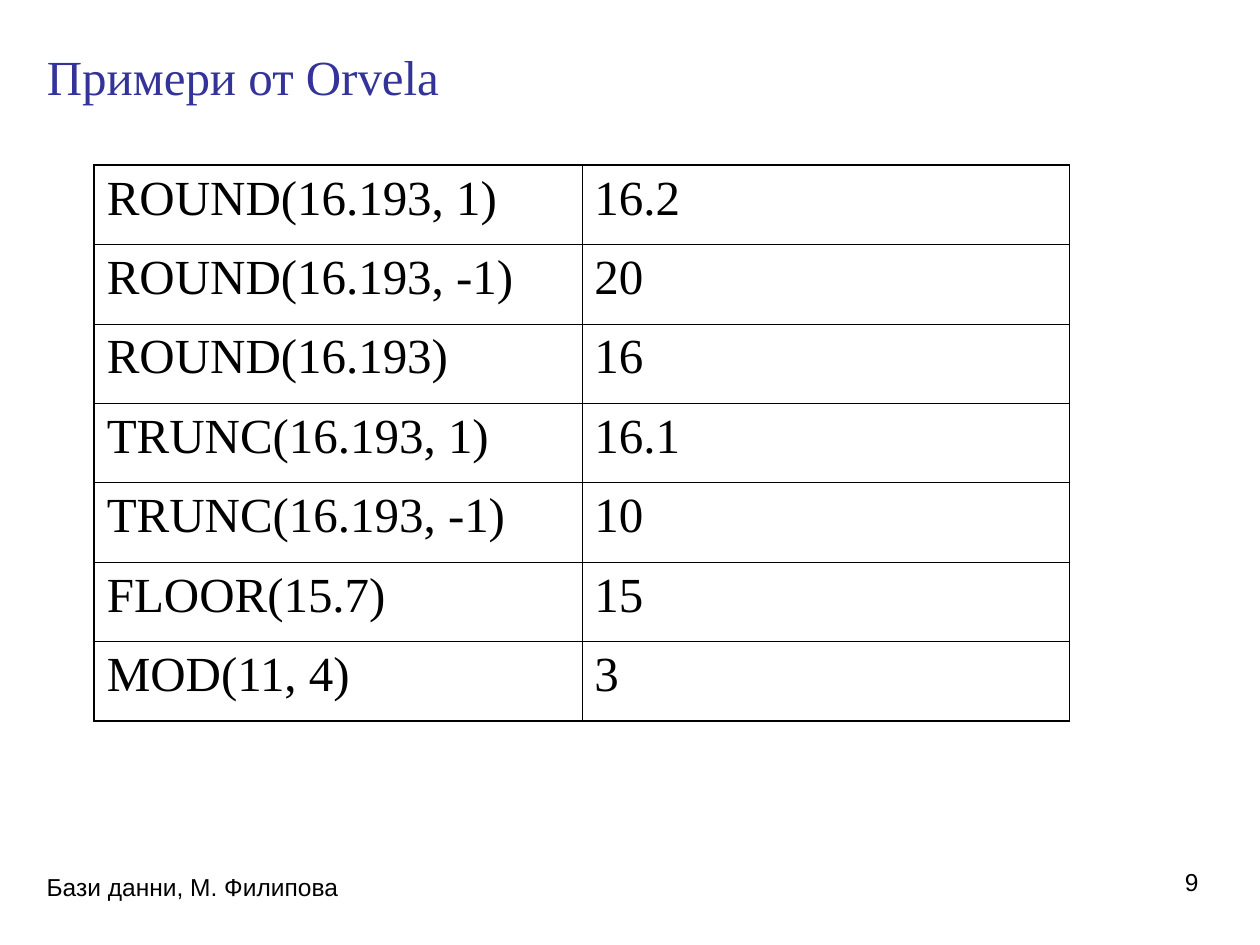
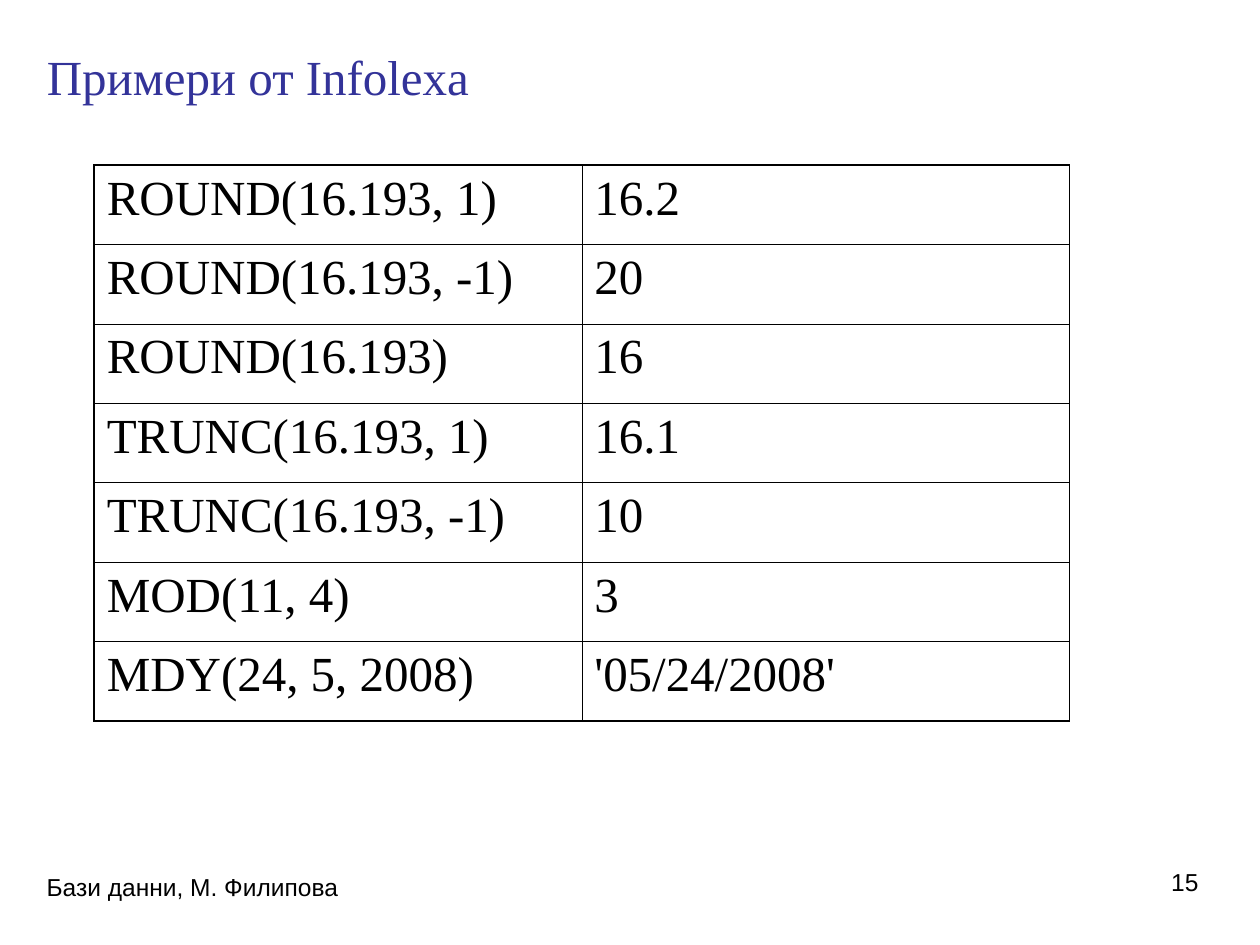
import pptx
import pptx.dml.color
import pptx.enum.text
import pptx.oxml.ns
import pptx.util
import lxml.etree

Cm = pptx.util.Cm
Pt = pptx.util.Pt
ENUM = pptx.enum.text

COLORS = {"title": "333399", "text": "000000", "line": "000000"}
SERIF, SANS = "Times New Roman", "Arial"
FOOTER = "Бази данни, М. Филипова"

COMMON = [
    ("ROUND(16.193, 1)", "16.2"),
    ("ROUND(16.193, -1)", "20"),
    ("ROUND(16.193)", "16"),
    ("TRUNC(16.193, 1)", "16.1"),
    ("TRUNC(16.193, -1)", "10"),
]
MOD = ("MOD(11, 4)", "3")
SLIDES = [
    {"title": "Примери от Orvela", "page": 9,
     "rows": COMMON + [("FLOOR(15.7)", "15"), MOD]},
    {"title": "Примери от Infolexa", "page": 15,
     "rows": COMMON + [MOD, ("MDY(24, 5, 2008)", "'05/24/2008'")]},
]

LEFT = 0.69
TITLE = (LEFT, 0.76, 24, 1.55)
NOTE = (LEFT, 17.45, 8.05, 1.32)
PAGE = (18.49, 17.35, 5.92, 1.32)
GRID_X, GRID_Y, COL_W, ROW_H = 1.9, 3.33, 9.83, 1.6
OUTER, INNER = 1.08, 0.45


def style(par, face, size, color, align=ENUM.PP_ALIGN.LEFT):
    par.alignment = align
    par.font.name = face
    par.font.size = Pt(size)
    par.font.color.rgb = pptx.dml.color.RGBColor.from_string(COLORS[color])


def add_title(slide, text):
    shape = slide.shapes.title
    shape.left, shape.top, shape.width, shape.height = map(Cm, TITLE)
    frame = shape.text_frame
    frame.text = text
    frame.auto_size = ENUM.MSO_AUTO_SIZE.NONE
    frame.vertical_anchor = ENUM.MSO_ANCHOR.MIDDLE
    style(frame.paragraphs[0], SERIF, 28, "title")


def add_label(slide, box, text, align):
    frame = slide.shapes.add_textbox(*map(Cm, box)).text_frame
    frame.word_wrap = True
    frame.text = text
    style(frame.paragraphs[0], SANS, 14, "text", align)


def add_edge(cell, side, width):
    qn = pptx.oxml.ns.qn
    props = cell._tc.get_or_add_tcPr()
    line = lxml.etree.SubElement(props, qn(f"a:ln{side}"), w=str(int(Pt(width))))
    fill = lxml.etree.SubElement(line, qn("a:solidFill"))
    lxml.etree.SubElement(fill, qn("a:srgbClr"), val=COLORS["line"])


def add_grid(slide, rows):
    count, wide = len(rows), len(rows[0])
    box = (GRID_X, GRID_Y, COL_W * wide, ROW_H * count)
    table = slide.shapes.add_table(count, wide, *map(Cm, box)).table
    table.first_row = table.horz_banding = False
    for row in table.rows:
        row.height = Cm(ROW_H)
    for col in table.columns:
        col.width = Cm(COL_W)
    for r, row in enumerate(rows):
        for c, text in enumerate(row):
            cell = table.cell(r, c)
            cell.text = text
            par = cell.text_frame.paragraphs[0]
            par.space_before = Pt(7)
            style(par, SERIF, 28, "text")
            edges = {"L": c == 0, "R": c == wide - 1,
                     "T": r == 0, "B": r == count - 1}
            for side, outer in edges.items():
                add_edge(cell, side, OUTER if outer else INNER)
            cell.fill.background()


deck = pptx.Presentation()
deck.slide_width, deck.slide_height = Cm(25.4), Cm(19.05)
for item in SLIDES:
    slide = deck.slides.add_slide(deck.slide_layouts.get_by_name("Title Only"))
    add_title(slide, item["title"])
    add_grid(slide, item["rows"])
    add_label(slide, NOTE, FOOTER, ENUM.PP_ALIGN.LEFT)
    add_label(slide, PAGE, str(item["page"]), ENUM.PP_ALIGN.RIGHT)
deck.save("out.pptx")
